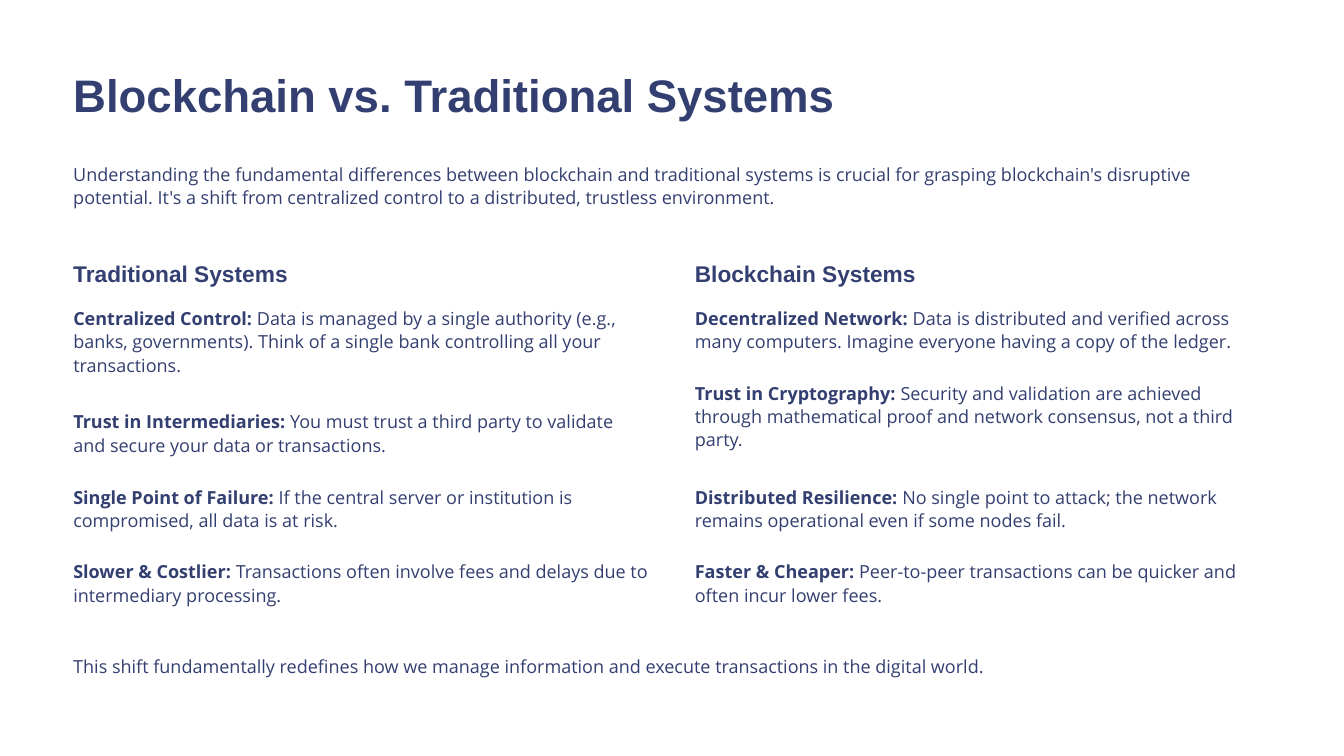
from pptx import Presentation
from pptx.dml.color import RGBColor
from pptx.enum.shapes import MSO_SHAPE as Shape
from pptx.enum.text import MSO_AUTO_SIZE as AutoSize
from pptx.util import Emu, Pt

PX = 9144
NAVY = RGBColor(0x33, 0x3F, 0x70)
WHITE = RGBColor(0xFF, 0xFF, 0xFF)
HEAD_FONT, BODY_FONT = "Arial", "Open Sans"
SLIDE_W, SLIDE_H = 2000, 1125
LEFT, RIGHT, FULL_W, COL_W = 109, 1034, 1783, 858
HEAD_TOP, ITEMS_TOP = 394, 455
ITEM_GAPS = (21, 22, 21, 0)
ITEM_HEIGHTS = {2: 90, 3: 133}

INTRO = (
    "Understanding the fundamental differences between blockchain and traditional "
    "systems is crucial for grasping blockchain's disruptive potential. It's a shift "
    "from centralized control to a distributed, trustless environment."
)
CLOSING = (
    "This shift fundamentally redefines how we manage information and execute "
    "transactions in the digital world."
)
TRADITIONAL = [
    ("Centralized Control:", " Data is managed by a single authority (e.g., banks, "
     "governments). Think of a single bank controlling all your transactions.", 3),
    ("Trust in Intermediaries:", " You must trust a third party to validate and secure "
     "your data or transactions.", 2),
    ("Single Point of Failure:", " If the central server or institution is compromised, "
     "all data is at risk.", 2),
    ("Slower & Costlier:", " Transactions often involve fees and delays due to "
     "intermediary processing.", 2),
]
BLOCKCHAIN = [
    ("Decentralized Network:", " Data is distributed and verified across many computers. "
     "Imagine everyone having a copy of the ledger.", 2),
    ("Trust in Cryptography:", " Security and validation are achieved through mathematical "
     "proof and network consensus, not a third party.", 3),
    ("Distributed Resilience:", " No single point to attack; the network remains "
     "operational even if some nodes fail.", 2),
    ("Faster & Cheaper:", " Peer-to-peer transactions can be quicker and often incur "
     "lower fees.", 2),
]


def px(n):
    return Emu(n * PX)


def add_backdrop(s):
    """Cover the slide with a plain white panel."""
    sp = s.shapes.add_shape(Shape.RECTANGLE, 0, 0, px(SLIDE_W), px(SLIDE_H))
    sp.shadow.inherit = False
    sp.fill.solid()
    sp.fill.fore_color.rgb = WHITE
    sp.line.fill.background()


def add_text(s, box, runs, size=19.32, font=BODY_FONT, leading=25):
    """Add a text box of one paragraph from (text, bold) runs."""
    sp = s.shapes.add_textbox(*map(px, box))
    tf = sp.text_frame
    tf.word_wrap = True
    tf.auto_size = AutoSize.SHAPE_TO_FIT_TEXT
    tf.margin_left = tf.margin_top = tf.margin_right = tf.margin_bottom = 0
    p = tf.paragraphs[0]
    p.line_spacing = Pt(leading)
    for text, bold in runs:
        r = p.add_run()
        r.text = text
        r.font.size = Pt(size)
        r.font.name = font
        r.font.bold = bold
        r.font.color.rgb = NAVY


def add_column(s, left, heading, items):
    """Add a heading with its labelled points stacked below."""
    add_text(s, (left, HEAD_TOP, 433, 37), [(heading, True)], 24.35, HEAD_FONT, 24)
    top = ITEMS_TOP
    for (label, text, lines), gap in zip(items, ITEM_GAPS):
        height = ITEM_HEIGHTS[lines]
        add_text(s, (left, top, COL_W, height), [(label, True), (text, False)])
        top += height + gap


def main():
    prs = Presentation()
    prs.slide_width, prs.slide_height = px(SLIDE_W), px(SLIDE_H)
    s = prs.slides.add_slide(prs.slide_layouts[6])

    add_backdrop(s)
    add_text(s, (LEFT, 113, 1484, 76), [("Blockchain vs. Traditional Systems", True)],
             48.75, HEAD_FONT, 48.5)
    add_text(s, (LEFT, 241, FULL_W, 90), [(INTRO, False)])
    add_column(s, LEFT, "Traditional Systems", TRADITIONAL)
    add_column(s, RIGHT, "Blockchain Systems", BLOCKCHAIN)
    add_text(s, (LEFT, 973, FULL_W, 47), [(CLOSING, False)])
    prs.save("out.pptx")


if __name__ == "__main__":
    main()
